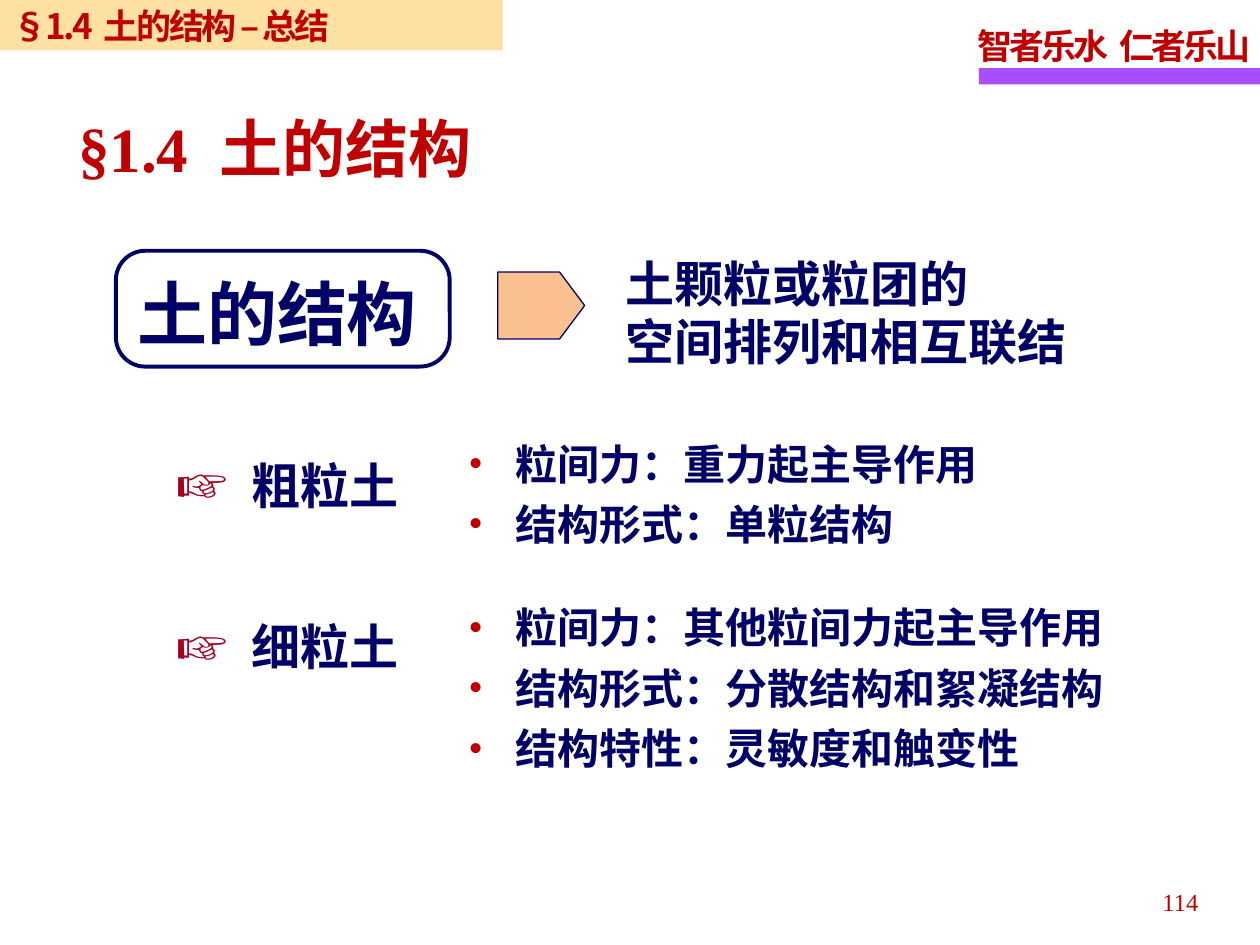
from lxml import etree
from pptx import Presentation
from pptx.dml.color import RGBColor
from pptx.enum.shapes import MSO_SHAPE
from pptx.enum.text import MSO_ANCHOR, MSO_AUTO_SIZE, PP_ALIGN
from pptx.oxml.ns import qn
from pptx.util import Pt

RECT, ROUNDED, PENTAGON = MSO_SHAPE.RECTANGLE, MSO_SHAPE.ROUNDED_RECTANGLE, MSO_SHAPE.PENTAGON
TOP, MIDDLE = MSO_ANCHOR.TOP, MSO_ANCHOR.MIDDLE
LEFT, RIGHT = PP_ALIGN.LEFT, PP_ALIGN.RIGHT
NO_AUTOFIT = MSO_AUTO_SIZE.NONE
TITLE_ONLY = 5

SERIF, SANS = "Times New Roman", "Noto Sans CJK SC"
COLORS = {
    "navy": "000066",
    "red": "C00000",
    "hand": "A50021",
    "purple": "A74FFF",
    "band": "FFCC66",
    "arrow": "FAC090",
}


def rgb(name):
    return RGBColor.from_string(COLORS[name])


def add_run(paragraph, text, size, color, font=SERIF, bold=True, spacing=0):
    run = paragraph.add_run()
    run.text = text
    run.font.size, run.font.bold, run.font.name = Pt(size), bold, font
    run.font.color.rgb = rgb(color)
    properties = run.font._element
    etree.SubElement(properties, qn("a:ea")).set("typeface", SANS)
    if spacing:
        properties.set("spc", str(round(spacing * 100)))


def add_heading(paragraph, first, second, size, color, gap, spacing=0, font=SERIF):
    """Two parts of a heading, parted by one widened space."""
    for text, tracking in ((first, spacing), (" ", gap), (second, spacing)):
        add_run(paragraph, text, size, color, font, spacing=tracking)


def set_bullet(paragraph, char, color, indent, percent=100):
    properties = paragraph._p.get_or_add_pPr()
    properties.set("marL", str(Pt(indent)))
    properties.set("indent", str(-Pt(indent)))
    bullet_color = etree.SubElement(properties, qn("a:buClr"))
    etree.SubElement(bullet_color, qn("a:srgbClr")).set("val", COLORS[color])
    etree.SubElement(properties, qn("a:buSzPct")).set("val", str(percent * 1000))
    etree.SubElement(properties, qn("a:buFont")).set("typeface", SERIF)
    etree.SubElement(properties, qn("a:buChar")).set("char", char)


def add_text_box(slide, left, top, width, height, size, anchor=TOP):
    frame = slide.shapes.add_textbox(Pt(left), Pt(top), Pt(width), Pt(height)).text_frame
    frame.word_wrap, frame.vertical_anchor = True, anchor
    frame.margin_right = 0
    if anchor == TOP:
        frame.margin_top = Pt(3.6 + 0.08 * size)
    return frame


def add_lines(frame, lines, size, pitch, font=SERIF, bullet=None):
    for index, line in enumerate(lines):
        paragraph = frame.paragraphs[0] if index == 0 else frame.add_paragraph()
        paragraph.line_spacing = Pt(pitch)
        if bullet:
            set_bullet(paragraph, *bullet)
        add_run(paragraph, line, size, "navy", font)


def add_panel(slide, kind, left, top, width, height, fill=None, line_width=0, adjust=None):
    panel = slide.shapes.add_shape(kind, Pt(left), Pt(top), Pt(width), Pt(height))
    panel.shadow.inherit = False
    if adjust is not None:
        panel.adjustments[0] = adjust
    if fill:
        panel.fill.solid()
        panel.fill.fore_color.rgb = rgb(fill)
    else:
        panel.fill.background()
    if line_width:
        panel.line.color.rgb = rgb("navy")
        panel.line.width = Pt(line_width)
    else:
        panel.line.fill.background()
    return panel


def add_motto(slide):
    add_panel(slide, RECT, 559.4, 38.9, 160.6, 9.4, "purple")
    motto = add_text_box(slide, 551.5, 5, 170, 35.3, 20).paragraphs[0]
    motto.line_spacing = Pt(28)
    add_heading(motto, "智者乐水", "仁者乐山", 20, "red", gap=1.6, spacing=-1.7)


def add_section_band(slide):
    band = add_panel(slide, RECT, 0, 0, 287.3, 28.8, "band")
    color = band.fill._xPr.find(qn("a:solidFill"))[0]
    etree.SubElement(color, qn("a:alpha")).set("val", "60000")
    frame = band.text_frame
    frame.vertical_anchor = MIDDLE
    frame.paragraphs[0].alignment = LEFT
    add_heading(frame.paragraphs[0], "§1.4", "土的结构 – 总结", 20, "red",
                gap=1.7, spacing=-1.4, font=SANS)


def add_title(slide):
    title = slide.shapes.title
    title.left, title.top, title.width, title.height = Pt(37.4), Pt(54.7), Pt(341.3), Pt(59)
    frame = title.text_frame
    frame.auto_size, frame.vertical_anchor = NO_AUTOFIT, MIDDLE
    paragraph = frame.paragraphs[0]
    paragraph.alignment, paragraph.line_spacing = LEFT, Pt(43)
    add_heading(paragraph, "§1.4", "土的结构", 36, "red", gap=9)


def add_definition(slide):
    add_panel(slide, ROUNDED, 66.2, 143.3, 190.8, 66.2, line_width=2.25, adjust=0.254)
    term = add_text_box(slide, 71.3, 147.6, 176.4, 55.4, 40)
    add_lines(term, ["土的结构"], 40, 48)
    add_panel(slide, PENTAGON, 284.4, 155.5, 49.7, 38.2, "arrow", 0.75, 0.374)
    meaning = add_text_box(slide, 350.6, 139.7, 272.2, 74.2, 28)
    add_lines(meaning, ["土颗粒或粒团的", "空间排列和相互联结"], 28, 33)


def add_soil_type(slide, label, label_top, facts, facts_top):
    name = add_text_box(slide, 93.6, label_top, 143.3, 41, 28)
    add_lines(name, [label], 28, 33, bullet=("☞", "hand", 43, 130))
    details = add_text_box(slide, 260.6, facts_top, 387.4, 7.2 + 35 * len(facts), 24)
    add_lines(details, facts, 24, 34.6, SANS, bullet=("•", "red", 27))


def add_page_number(slide):
    number = add_text_box(slide, 524.2, 501.1, 160.6, 28.8, 14, MIDDLE).paragraphs[0]
    number.alignment = RIGHT
    add_run(number, "114", 14, "red", bold=False)


def main():
    deck = Presentation()
    deck.slide_width, deck.slide_height = Pt(720), Pt(540)
    slide = deck.slides.add_slide(deck.slide_layouts[TITLE_ONLY])

    # Page frame
    add_motto(slide)
    add_page_number(slide)
    add_section_band(slide)
    add_title(slide)

    # Definition and the two soil types
    add_definition(slide)
    add_soil_type(slide, "粗粒土", 254.9,
                  ["粒间力：重力起主导作用", "结构形式：单粒结构"], 239)
    add_soil_type(slide, "细粒土", 347,
                  ["粒间力：其他粒间力起主导作用", "结构形式：分散结构和絮凝结构",
                   "结构特性：灵敏度和触变性"], 332.6)

    deck.save("out.pptx")


if __name__ == "__main__":
    main()
